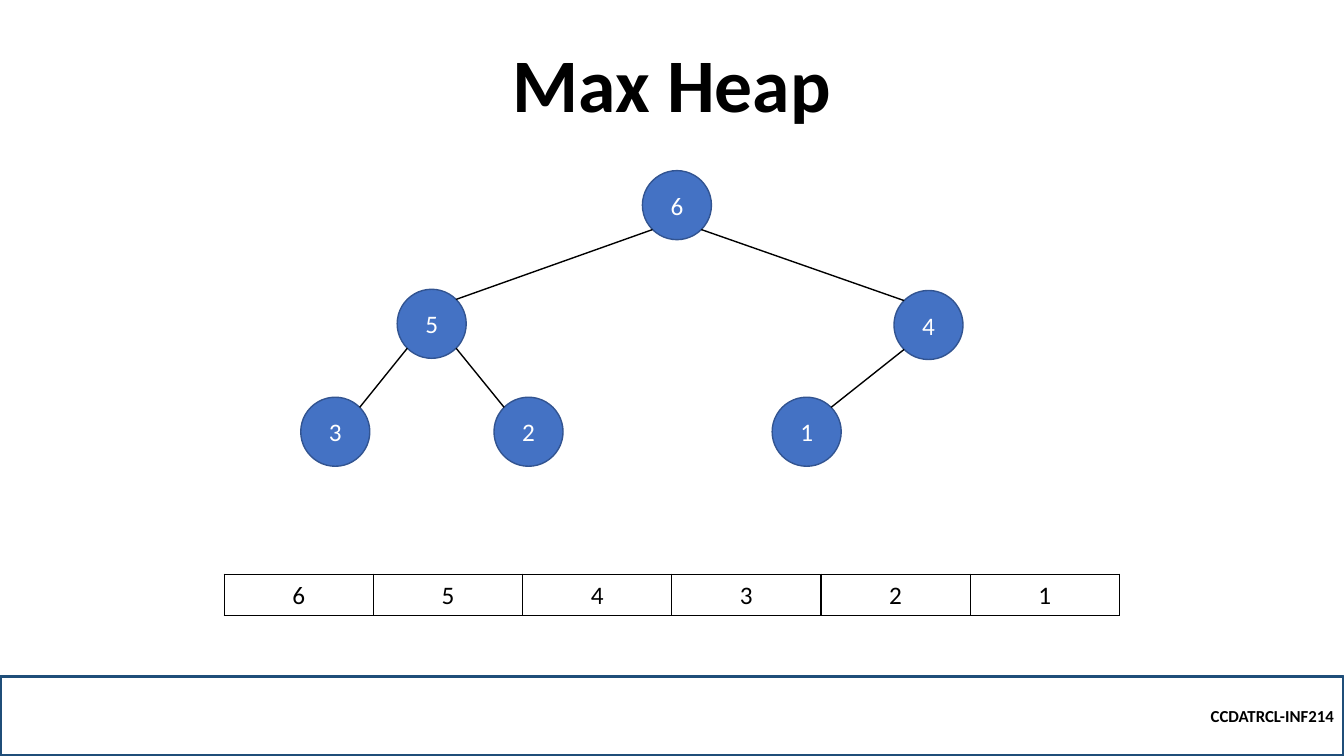
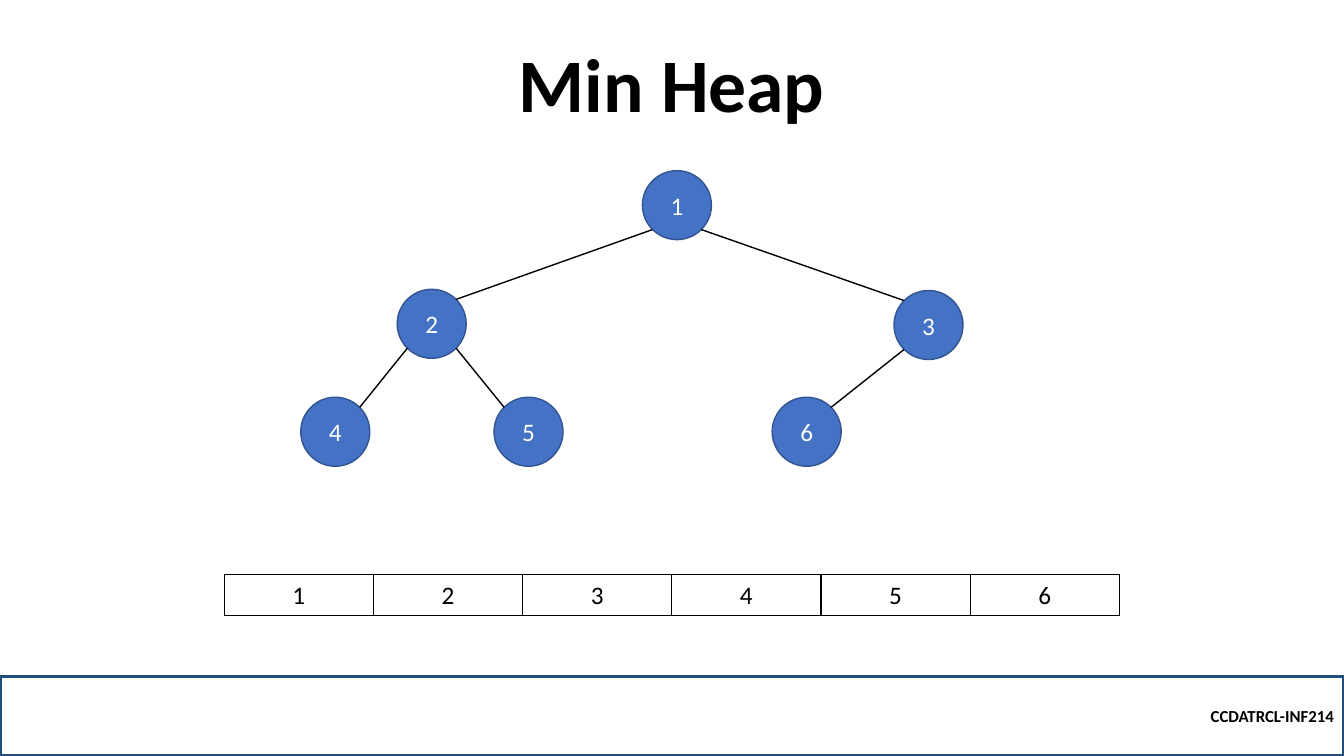
from math import copysign, sqrt

from lxml.etree import SubElement
from pptx import Presentation
from pptx.dml.color import RGBColor
from pptx.enum.shapes import MSO_CONNECTOR, MSO_SHAPE
from pptx.enum.text import MSO_ANCHOR, MSO_AUTO_SIZE, PP_ALIGN
from pptx.oxml.ns import qn
from pptx.util import Cm, Pt


class Theme:
    font = "Calibri"
    ink = RGBColor(0x00, 0x00, 0x00)
    paper = RGBColor(0xFF, 0xFF, 0xFF)
    node = RGBColor(0x44, 0x72, 0xC4)
    rim = RGBColor(0x32, 0x54, 0x91)
    band = RGBColor(0x1F, 0x4E, 0x79)
    title, body, small = Pt(54), Pt(18), Pt(12)
    thin, thick = Pt(1), Pt(2.25)


COURSE = "CCDATRCL-INF214"
HEAPS = {"Max Heap": [6, 5, 4, 3, 2, 1], "Min Heap": [1, 2, 3, 4, 5, 6]}

# Node centres in cm, in heap order: the parent of i is (i - 1) // 2
SPOTS = [(17.06, 5.17), (10.88, 8.16), (23.4, 8.19),
         (8.45, 10.88), (13.32, 10.88), (20.33, 10.88)]
SIZE = 1.74
DIAG = SIZE / 2 / sqrt(2)

# Array row in cm
LEFT, TOP, STEP, HIGH = 5.65, 14.47, 3.76, 1.04


def write(frame, text, size, color, align, bold=False):
    frame.text = str(text)
    para = frame.paragraphs[0]
    para.alignment = align
    font = para.font
    font.name, font.size, font.bold = Theme.font, size, bold
    font.color.rgb = color
    return para


def outline(shape, color, width):
    shape.line.color.rgb = color
    shape.line.width = width


deck = Presentation()
deck.slide_width, deck.slide_height = Cm(33.87), Cm(19.05)

for name, values in HEAPS.items():
    slide = deck.slides.add_slide(deck.slide_layouts[5])
    shapes = slide.shapes

    # Title
    title = shapes.title
    title.left, title.top = Cm(4.23), Cm(1.37)
    title.width, title.height = Cm(25.4), Cm(2.01)
    para = write(title.text_frame, name, Theme.title, Theme.ink,
                 PP_ALIGN.CENTER, True)
    para.line_spacing = 0.9
    title.text_frame.auto_size = MSO_AUTO_SIZE.NONE
    title.text_frame.vertical_anchor = MSO_ANCHOR.BOTTOM

    # Footer band
    band = shapes.add_shape(MSO_SHAPE.RECTANGLE, 0, Cm(17.05),
                            deck.slide_width, Cm(2))
    band.shadow.inherit = False
    band.fill.background()
    outline(band, Theme.band, Theme.thick)
    write(band.text_frame, COURSE, Theme.small, Theme.ink,
          PP_ALIGN.RIGHT, True)

    # Tree nodes, each with the edge from its parent
    for i, (value, (x, y)) in enumerate(zip(values, SPOTS)):
        node = shapes.add_shape(MSO_SHAPE.OVAL, Cm(x - SIZE / 2),
                                Cm(y - SIZE / 2), Cm(SIZE), Cm(SIZE))
        node.shadow.inherit = False
        node.fill.solid()
        node.fill.fore_color.rgb = Theme.node
        outline(node, Theme.rim, Theme.thin)
        write(node.text_frame, value, Theme.body, Theme.paper,
              PP_ALIGN.CENTER)
        if i == 0:
            continue
        px, py = SPOTS[(i - 1) // 2]
        dx = copysign(DIAG, x - px)
        edge = shapes.add_connector(MSO_CONNECTOR.STRAIGHT,
                                    Cm(px + dx), Cm(py + DIAG),
                                    Cm(x - dx), Cm(y - DIAG))
        outline(edge, Theme.ink, Theme.thin)
        SubElement(edge._element.spPr, qn("a:effectLst"))

    # Array grid
    count = len(values)
    table = shapes.add_table(1, count, Cm(LEFT), Cm(TOP),
                             Cm(STEP * count), Cm(HIGH)).table
    table.first_row = table.horz_banding = False
    for cell in table.rows[0].cells:
        props = cell._tc.get_or_add_tcPr()
        for side in "LRTB":
            line = SubElement(props, qn(f"a:ln{side}"), w=str(Theme.thin))
            fill = SubElement(line, qn("a:solidFill"))
            SubElement(fill, qn("a:srgbClr"), val=str(Theme.ink))
        cell.fill.background()

    # Array values, one label over each cell
    for i, value in enumerate(values):
        label = shapes.add_textbox(Cm(LEFT + i * STEP), Cm(TOP),
                                   Cm(STEP), Cm(HIGH))
        frame = label.text_frame
        frame.word_wrap = True
        frame.auto_size = MSO_AUTO_SIZE.SHAPE_TO_FIT_TEXT
        write(frame, value, Theme.body, Theme.ink, PP_ALIGN.CENTER)

deck.save("out.pptx")
